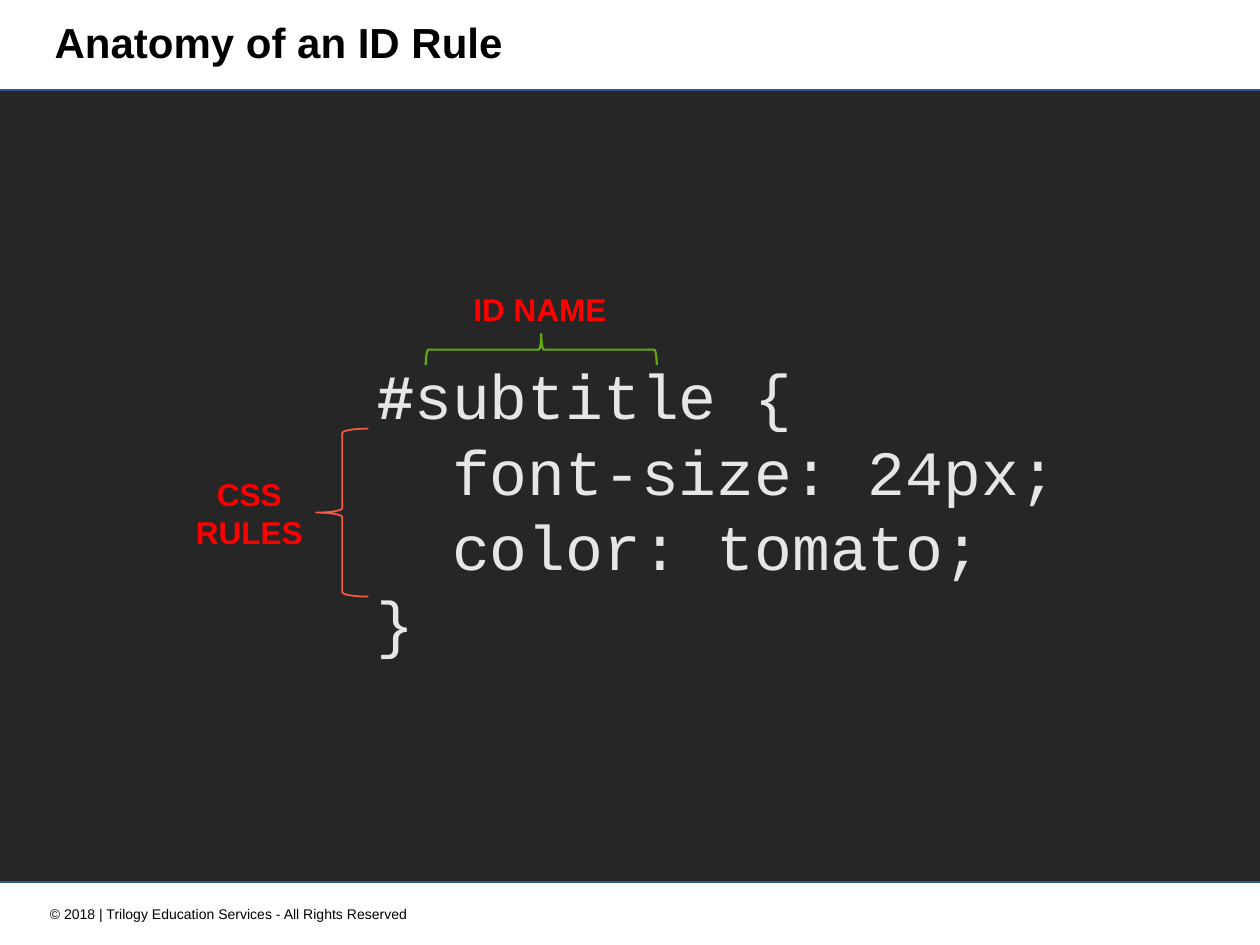
import pptx
import pptx.util
import pptx.dml.color
import pptx.enum.shapes
import pptx.enum.text

Pt = pptx.util.Pt
Shape = pptx.enum.shapes.MSO_SHAPE
Align = pptx.enum.text.PP_ALIGN
Anchor = pptx.enum.text.MSO_ANCHOR

HUES = {
    "panel": "262626", "edge": "325491", "code": "E7E6E6", "label": "FF0000",
    "name": "63A814", "rules": "F75B45", "ink": "000000",
}


def hue(key):
    return pptx.dml.color.RGBColor.from_string(HUES[key])


def style(frame, size, color, font="Arial", bold=False, align=Align.LEFT):
    for para in frame.paragraphs:
        para.alignment = align
        for run in para.runs:
            run.font.name = font
            run.font.size = Pt(size)
            run.font.bold = bold
            run.font.color.rgb = hue(color)


def add_text(slide, box, text, *args, **opts):
    frame = slide.shapes.add_textbox(*map(Pt, box)).text_frame
    frame.word_wrap = False
    frame.text = text
    style(frame, *args, **opts)
    return frame


def add_form(slide, kind, box, line, width):
    form = slide.shapes.add_shape(kind, *map(Pt, box))
    form.shadow.inherit = False
    form.fill.background()
    form.line.color.rgb = hue(line)
    form.line.width = Pt(width)
    return form


def add_title(slide, box, text):
    title = slide.shapes.title
    title.left, title.top, title.width, title.height = map(Pt, box)
    frame = title.text_frame
    frame.text = text
    frame.vertical_anchor = Anchor.MIDDLE
    frame.paragraphs[0].line_spacing = 0.9
    style(frame, 24, "ink", bold=True)


def add_panel(slide, box):
    panel = add_form(slide, Shape.RECTANGLE, box, "edge", 1)
    panel.fill.solid()
    panel.fill.fore_color.rgb = hue("panel")


def add_rule(slide, box):
    """Draw the CSS rule with its braces and labels."""
    left, top, width, height = box
    code = add_text(
        slide, (left + 103.7, top + 38.2, width - 103.7, height - 38.2),
        "#\n  font-size: 24px;\n  color: tomato;\n}",
        36, "code", font="Courier New")
    first = code.paragraphs[0]
    first.add_run().text = "subtitle {"
    style(code, 36, "code", font="Courier New")
    first.runs[0].font.bold = True

    add_text(slide, (left + 159.1, top, 91.4, 29), "ID NAME",
             18, "label", bold=True)
    brace = add_form(slide, Shape.RIGHT_BRACE,
                     (left + 196, top - 28.2, 17.8, 132), "name", 1.25)
    brace.rotation = 270

    add_form(slide, Shape.LEFT_BRACE,
             (left + 76.2, top + 82.9, 30, 96), "rules", 1)
    add_text(slide, (left, top + 105.8, 76.2, 51), "CSS\nRULES",
             18, "label", bold=True, align=Align.CENTER)


def main():
    deck = pptx.Presentation()
    deck.slide_width, deck.slide_height = Pt(720), Pt(540)
    slide = deck.slides.add_slide(deck.slide_layouts[5])
    add_panel(slide, (-12, 51.6, 738, 452.4))
    add_title(slide, (24, 0, 430.5, 51.6), "Anatomy of an ID Rule")
    add_rule(slide, (104.4, 162, 511.2, 219.6))
    add_text(slide, (12.2, 514, 228, 17),
             "© 2018 | Trilogy Education Services - All Rights Reserved",
             8, "ink", align=Align.RIGHT)
    deck.save("out.pptx")


if __name__ == "__main__":
    main()
